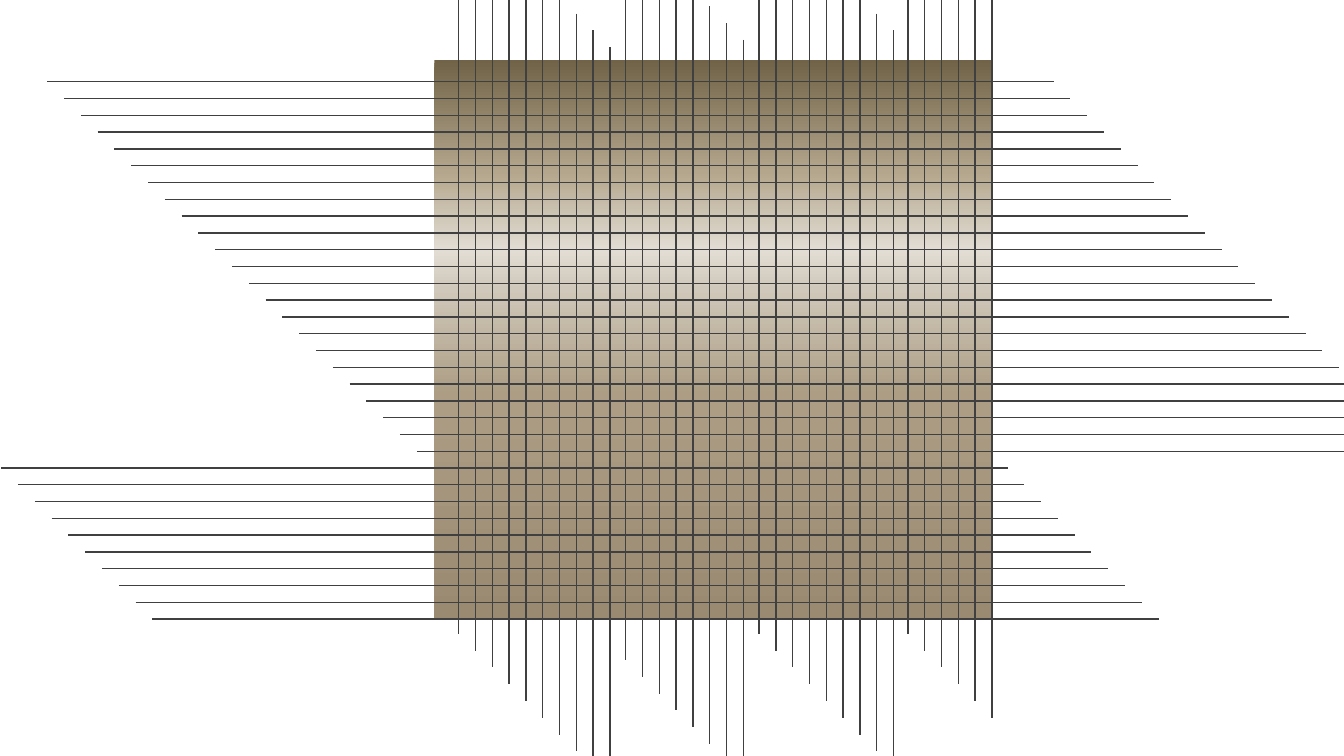
from lxml import etree
from pptx import Presentation
from pptx.dml.color import RGBColor
from pptx.enum.shapes import MSO_CONNECTOR, MSO_SHAPE
from pptx.oxml.ns import qn
from pptx.util import Cm, Pt

RECTANGLE = MSO_SHAPE.RECTANGLE
STRAIGHT = MSO_CONNECTOR.STRAIGHT

COLORS = {
    "line": "404040",
    "olive": "716347",
    "sand": "B4A68C",
    "highlight": "E2DDD4",
    "pale": "D0C8BA",
    "tan": "AC9D84",
    "brown": "9A8A71",
}
BRONZE_STOPS = [(0, "olive"), (20, "sand"), (34, "highlight"),
                (41, "pale"), (60, "tan"), (100, "brown")]

STEP = Cm(2.54) / 6
VERTICAL_LENGTH = Cm(18.59)
HORIZONTAL_LENGTH = Cm(25.36)
VERTICAL_GROUPS = [(11.56, -2.62, 10), (15.77, -1.96, 8),
                   (19.13, -2.62, 9), (22.88, -2.62, 6)]
HORIZONTAL_GROUPS = [(1.19, 2.06, 23), (0.03, 11.79, 10)]


def set_gradient(shape, stops):
    shape.fill.gradient()
    shape.fill.gradient_angle = 270
    stop_list = shape._element.spPr.find(qn("a:gradFill")).find(qn("a:gsLst"))
    for stop in list(stop_list):
        stop_list.remove(stop)
    for position, color in stops:
        stop = etree.SubElement(stop_list, qn("a:gs"), pos=str(position * 1000))
        etree.SubElement(stop, qn("a:srgbClr"), val=COLORS[color])


def add_bronze_square(slide):
    side = Cm(14.05)
    square = slide.shapes.add_shape(RECTANGLE, Cm(10.95), Cm(1.52), side, side)
    square.shadow.inherit = False
    square.line.fill.background()
    set_gradient(square, BRONZE_STOPS)


def add_line(slide, left, top, width, height):
    line = slide.shapes.add_connector(
        STRAIGHT, left, top, left + width, top + height)
    line.line.color.rgb = RGBColor.from_string(COLORS["line"])
    line.line.width = Pt(1)
    etree.SubElement(line._element.spPr, qn("a:effectLst"))


def add_staggered_lines(slide, groups, width, height):
    for left, top, count in groups:
        for index in range(count):
            offset = round(index * STEP)
            add_line(slide, Cm(left) + offset, Cm(top) + offset, width, height)


def main():
    presentation = Presentation()
    presentation.slide_width = Cm(33.87)
    presentation.slide_height = Cm(19.05)
    slide = presentation.slides.add_slide(presentation.slide_layouts[6])
    add_bronze_square(slide)
    add_staggered_lines(slide, VERTICAL_GROUPS, 0, VERTICAL_LENGTH)
    add_staggered_lines(slide, HORIZONTAL_GROUPS, HORIZONTAL_LENGTH, 0)
    presentation.save("out.pptx")


if __name__ == "__main__":
    main()
